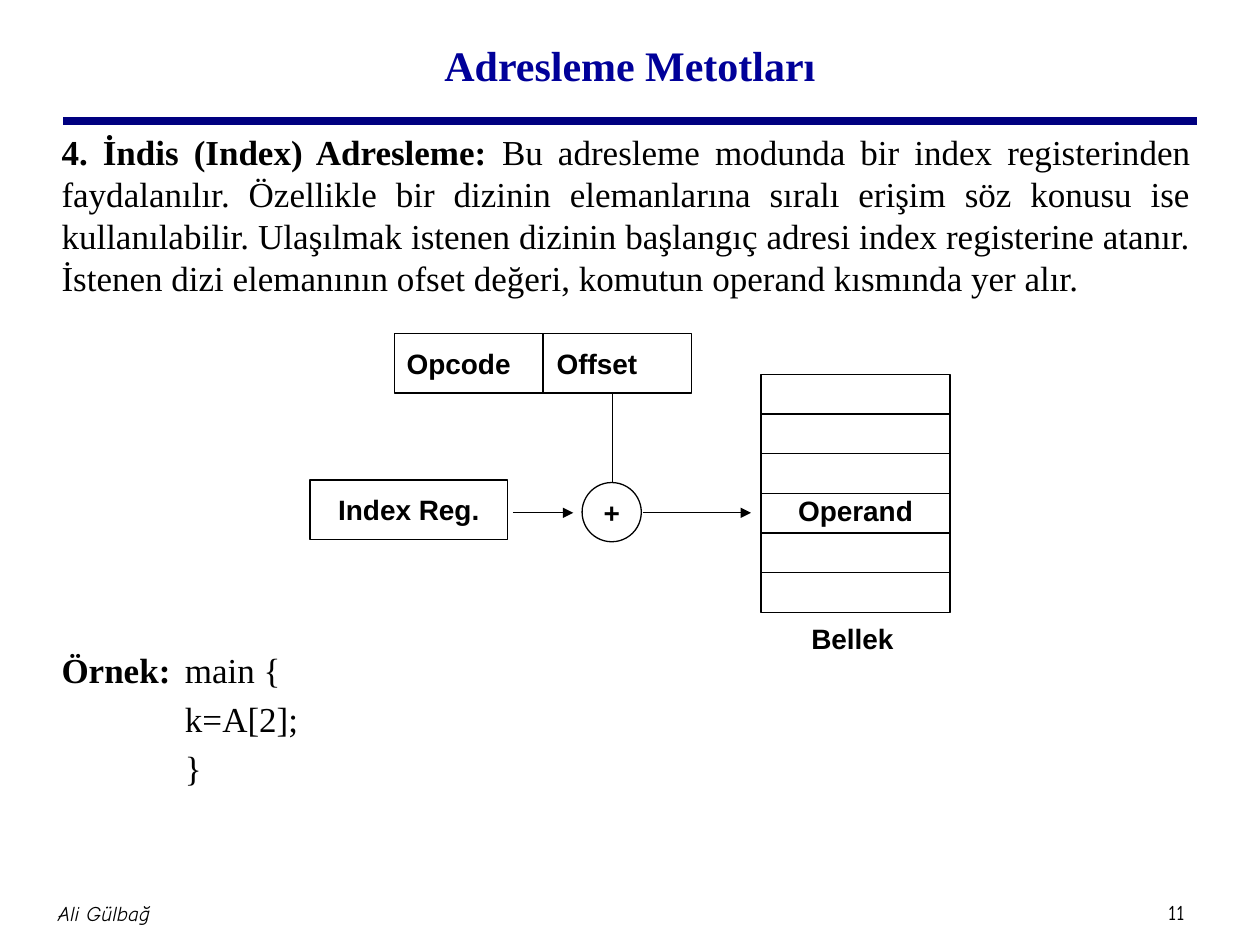
from lxml import etree
from pptx import Presentation
from pptx.dml.color import RGBColor
from pptx.enum.shapes import MSO_CONNECTOR, MSO_SHAPE
from pptx.enum.text import MSO_ANCHOR, PP_ALIGN
from pptx.oxml.ns import qn
from pptx.util import Inches, Pt

LEFT, CENTER, JUSTIFY = PP_ALIGN.LEFT, PP_ALIGN.CENTER, PP_ALIGN.JUSTIFY
TOP, MIDDLE, BOTTOM = MSO_ANCHOR.TOP, MSO_ANCHOR.MIDDLE, MSO_ANCHOR.BOTTOM
RECT, OVAL = MSO_SHAPE.RECTANGLE, MSO_SHAPE.OVAL
COLORS = {"title": "000099", "rule": "000080", "ink": "000000", "paper": "FFFFFF"}
COLORS = {name: RGBColor.from_string(value) for name, value in COLORS.items()}
SERIF, SANS, HAND = "Times New Roman", "Arial", "Comic Neue"

deck = Presentation()
deck.slide_width, deck.slide_height = Inches(10), Inches(7.5)
page = deck.slides.add_slide(deck.slide_layouts[5])


def write(frame, paras, font, size, color="ink", align=LEFT, anchor=MIDDLE, inset=0.1, top=0.05):
    frame.word_wrap = True
    frame.vertical_anchor = anchor
    frame.margin_left = frame.margin_right = Inches(inset)
    frame.margin_top, frame.margin_bottom = Inches(top), Inches(0.05)
    for index, runs in enumerate(paras):
        para = frame.add_paragraph() if index else frame.paragraphs[0]
        para.alignment = align
        for text, bold, italic in runs:
            span = para.add_run()
            span.text = text
            span.font.name, span.font.size = font, Pt(size)
            span.font.bold, span.font.italic = bold, italic
            span.font.color.rgb = COLORS[color]


def connect(x1, y1, x2, y2, color="ink", width=0.75, arrow=False):
    line = page.shapes.add_connector(
        MSO_CONNECTOR.STRAIGHT, Inches(x1), Inches(y1), Inches(x2), Inches(y2))
    line.line.color.rgb = COLORS[color]
    line.line.width = Pt(width)
    if arrow:
        outline = line.line._get_or_add_ln()
        etree.SubElement(outline, qn("a:tailEnd"), type="triangle")
    etree.SubElement(line._element.spPr, qn("a:effectLst"))


title = page.shapes.title
title.left, title.top, title.width, title.height = [Inches(v) for v in (0.75, 0.08, 8.5, 0.86)]
write(title.text_frame, [[("Adresleme Metotları", True, False)]], SERIF, 24, "title", CENTER)
connect(0.5, 0.96, 9.5, 0.96, "rule", 4.5)

explanation = [[
    ("4. İndis (Index) Adresleme: ", True, False),
    ("Bu adresleme modunda bir index registerinden faydalanılır. Özellikle bir dizinin "
     "elemanlarına sıralı erişim söz konusu ise kullanılabilir. Ulaşılmak istenen dizinin "
     "başlangıç adresi index registerine atanır. İstenen dizi elemanının ofset değeri, "
     "komutun operand kısmında yer alır.", False, False)]]
example = [
    [("Örnek:", True, False), ("\tmain {", False, False)],
    [("\tk=A[2];", False, False)],
    [("\t}", False, False)]]

for top, height, paras, align in [(0.99, 1.5, explanation, JUSTIFY), (5.1, 1.3, example, LEFT)]:
    box = page.shapes.add_textbox(Inches(0.39), Inches(top), Inches(9.16), Inches(height))
    write(box.text_frame, paras, SERIF, 20, align=align, anchor=TOP)
    for index, para in enumerate(box.text_frame.paragraphs):
        para.line_spacing = Pt(24)
        para.space_before = Pt(4 if index else 0)
        if paras is example:
            props = para._p.get_or_add_pPr()
            props.set("marL", str(Inches(0.98)))
            props.set("indent", str(-Inches(0.98)))

blocks = [
    (RECT, 3.13, 2.65, 2.36, 0.47, "Opcode\tOffset", LEFT, 0.05),
    (RECT, 6.04, 2.97, 1.5, 1.89, "Operand", CENTER, 0.32),
    (RECT, 2.46, 3.81, 1.57, 0.47, "Index Reg.", CENTER, 0.05),
    (OVAL, 4.62, 3.83, 0.47, 0.47, "+", CENTER, 0.05)]

for kind, left, top, width, height, label, align, inset_top in blocks:
    block = page.shapes.add_shape(kind, Inches(left), Inches(top), Inches(width), Inches(height))
    block.shadow.inherit = False
    block.fill.solid()
    block.fill.fore_color.rgb = COLORS["paper"]
    block.line.color.rgb = COLORS["ink"]
    block.line.width = Pt(0.75)
    write(block.text_frame, [[(label, True, False)]], SANS, 16, align=align,
          inset=0.1 if kind == RECT else 0, top=inset_top)
    if "\t" in label:
        props = block.text_frame.paragraphs[0]._p.get_or_add_pPr()
        tabs = etree.SubElement(props, qn("a:tabLst"))
        etree.SubElement(tabs, qn("a:tab"), pos=str(Inches(1.19)), algn="l")

connect(4.31, 2.65, 4.31, 3.12)
for row in range(1, 6):
    divider = 2.97 + row * 1.89 / 6
    connect(6.04, divider, 7.54, divider)
connect(4.86, 3.12, 4.86, 3.83)
connect(4.07, 4.07, 4.55, 4.07, arrow=True)
connect(5.1, 4.07, 5.96, 4.07, arrow=True)

captions = [
    (6.34, 4.55, 0.88, 0.7, "Bellek", SANS, 16, True, False, 0.1, BOTTOM),
    (0.41, 7.1, 1.2, 0.3, "Ali Gülbağ", HAND, 12, False, True, 0.05, MIDDLE),
    (9.22, 7.09, 0.35, 0.3, "11", HAND, 12, False, False, 0.05, MIDDLE)]
for left, top, width, height, text, font, size, bold, italic, inset, anchor in captions:
    box = page.shapes.add_textbox(Inches(left), Inches(top), Inches(width), Inches(height))
    write(box.text_frame, [[(text, bold, italic)]], font, size, inset=inset, anchor=anchor)

deck.save("out.pptx")
